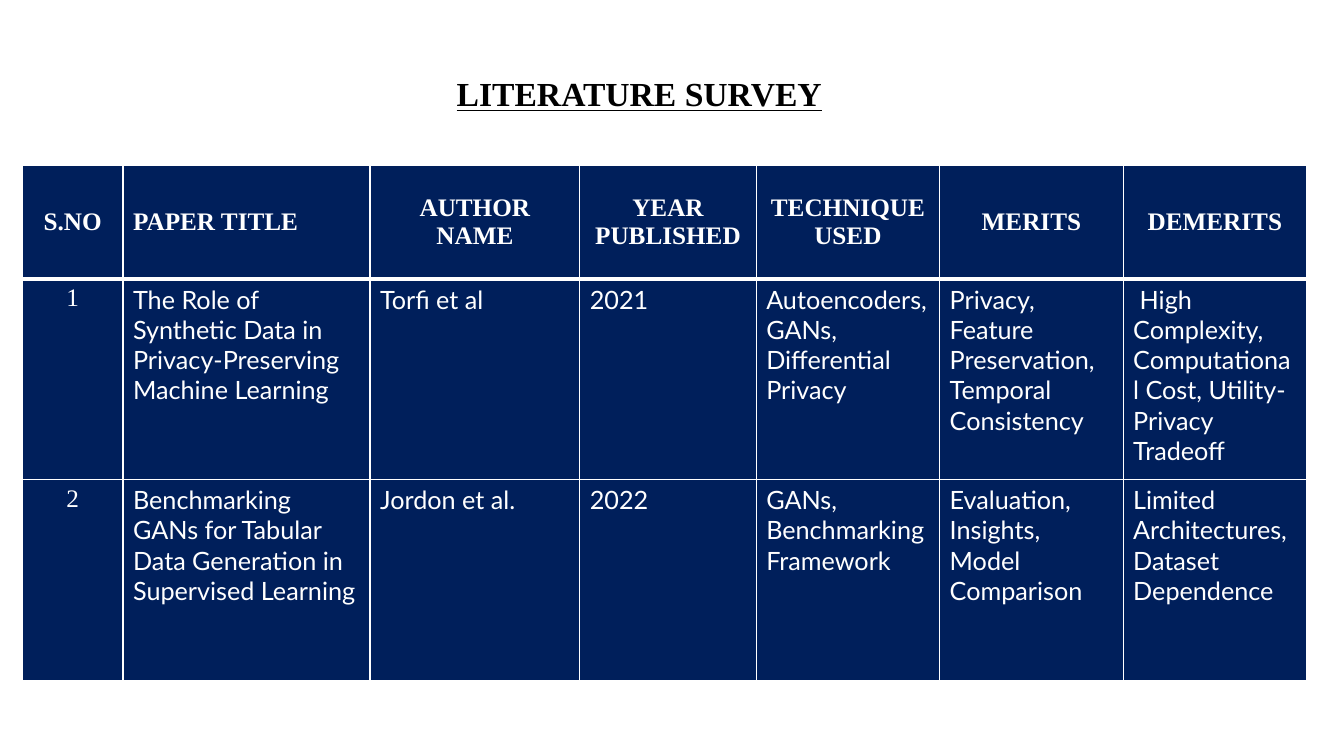
"""Builds the literature survey slide: a heading above a table of papers."""
import pptx
import pptx.dml.color
import pptx.enum.text
import pptx.oxml
import pptx.oxml.ns
import pptx.util
from pptx.util import Inches

TITLE = "LITERATURE SURVEY"
ROWS = [
    ("S.NO", "PAPER TITLE", "AUTHOR NAME", "YEAR PUBLISHED",
     "TECHNIQUE USED", "MERITS", "DEMERITS"),
    ("1", "The Role of Synthetic Data in Privacy-Preserving Machine Learning",
     "Torfi et al", "2021", "Autoencoders, GANs, Differential Privacy",
     "Privacy, Feature Preservation, Temporal Consistency",
     " High Complexity, Computational Cost, Utility-Privacy Tradeoff"),
    ("2", "Benchmarking GANs for Tabular Data Generation in Supervised Learning",
     "Jordon et al.", "2022", "GANs, Benchmarking Framework",
     "Evaluation, Insights, Model Comparison",
     "Limited Architectures, Dataset Dependence"),
]
COL_WIDTHS = [1, 2.45, 2.08, 1.75, 1.82, 1.82, 1.82]
ROW_HEIGHTS = [1.13, 1.99, 1.99]
NAVY, WHITE, BLACK = "001F5B", "FFFFFF", "000000"
SERIF, SANS = "Times New Roman", "Lato"
ALIGN = pptx.enum.text.PP_ALIGN
ANCHOR = pptx.enum.text.MSO_ANCHOR


def rgb(value):
    return pptx.dml.color.RGBColor.from_string(value)


def write(tf, text, font, size, color, bold, align):
    tf.text = text
    p = tf.paragraphs[0]
    p.alignment = align
    f = p.runs[0].font
    f.name, f.size, f.bold = font, pptx.util.Pt(size), bold
    f.color.rgb = rgb(color)
    return p


def set_border(cell, side, points):
    cell._tc.get_or_add_tcPr().append(pptx.oxml.parse_xml(
        f'<a:ln{side} {pptx.oxml.ns.nsdecls("a")} w="{points * 12700}">'
        f'<a:solidFill><a:srgbClr val="{WHITE}"/></a:solidFill></a:ln{side}>'))


def add_title(s):
    sp = s.shapes.add_textbox(Inches(4.26), Inches(0.26), Inches(4.31), Inches(1.38))
    tf = sp.text_frame
    tf.word_wrap = True
    tf.vertical_anchor = ANCHOR.MIDDLE
    tf.margin_left = Inches(0.27)
    p = write(tf, TITLE, SERIF, 24, BLACK, True, ALIGN.LEFT)
    p.line_spacing = 0.9
    p.runs[0].font.underline = True


def add_survey(s):
    table = s.shapes.add_table(
        len(ROWS), len(COL_WIDTHS), Inches(0.22), Inches(1.64),
        Inches(sum(COL_WIDTHS)), Inches(sum(ROW_HEIGHTS))).table
    for col, width in zip(table.columns, COL_WIDTHS):
        col.width = Inches(width)
    for row, height in zip(table.rows, ROW_HEIGHTS):
        row.height = Inches(height)
    for i, texts in enumerate(ROWS):
        for j, text in enumerate(texts):
            cell = table.cell(i, j)
            header = i == 0
            centred = j == 0 or (header and j != 1)
            write(cell.text_frame, text, SERIF if header or j == 0 else SANS, 18,
                  WHITE, header, ALIGN.CENTER if centred else ALIGN.LEFT)
            cell.vertical_anchor = ANCHOR.MIDDLE if header else ANCHOR.TOP
            for side, points in (("L", 1), ("R", 1), ("T", 3 if i == 1 else 1),
                                 ("B", 3 if header else 1)):
                set_border(cell, side, points)
            cell.fill.solid()
            cell.fill.fore_color.rgb = rgb(NAVY)


def main():
    prs = pptx.Presentation()
    prs.slide_width, prs.slide_height = Inches(13.33), Inches(7.5)
    s = prs.slides.add_slide(prs.slide_layouts[6])
    add_title(s)
    add_survey(s)
    prs.save("out.pptx")


if __name__ == "__main__":
    main()
